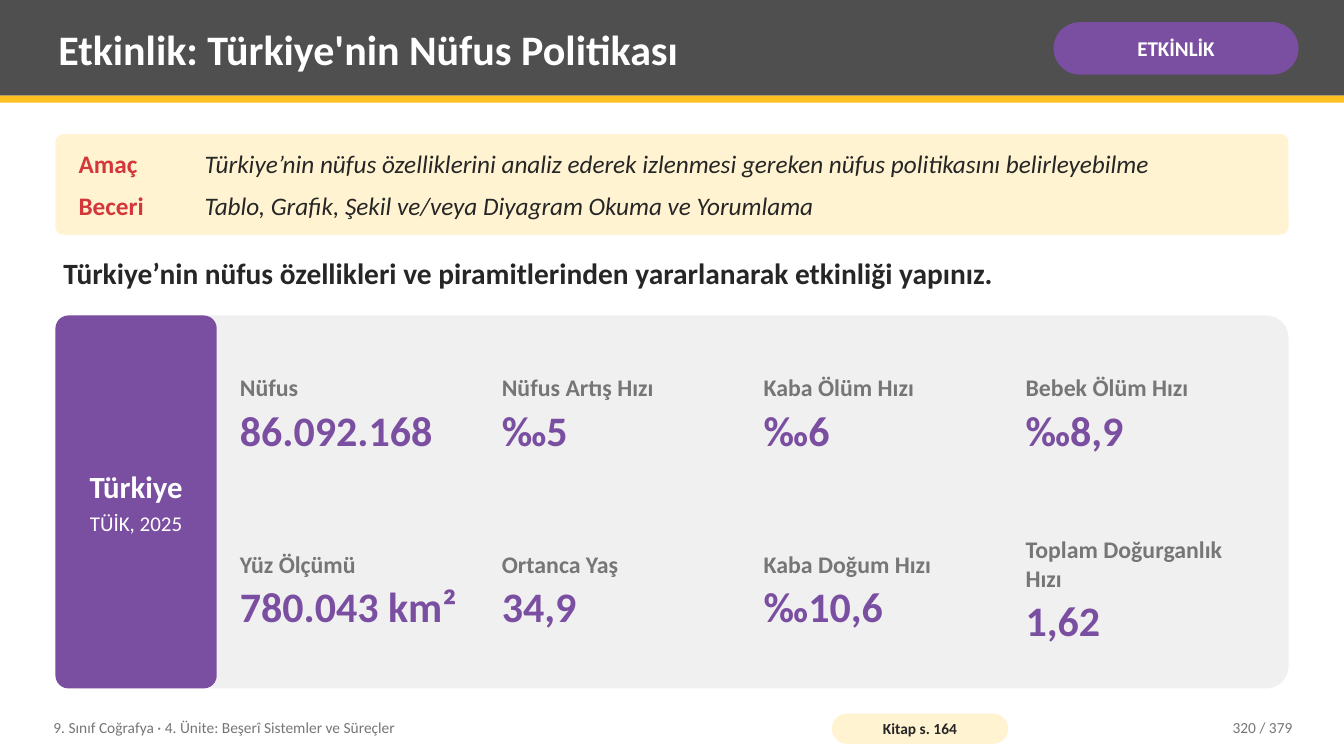
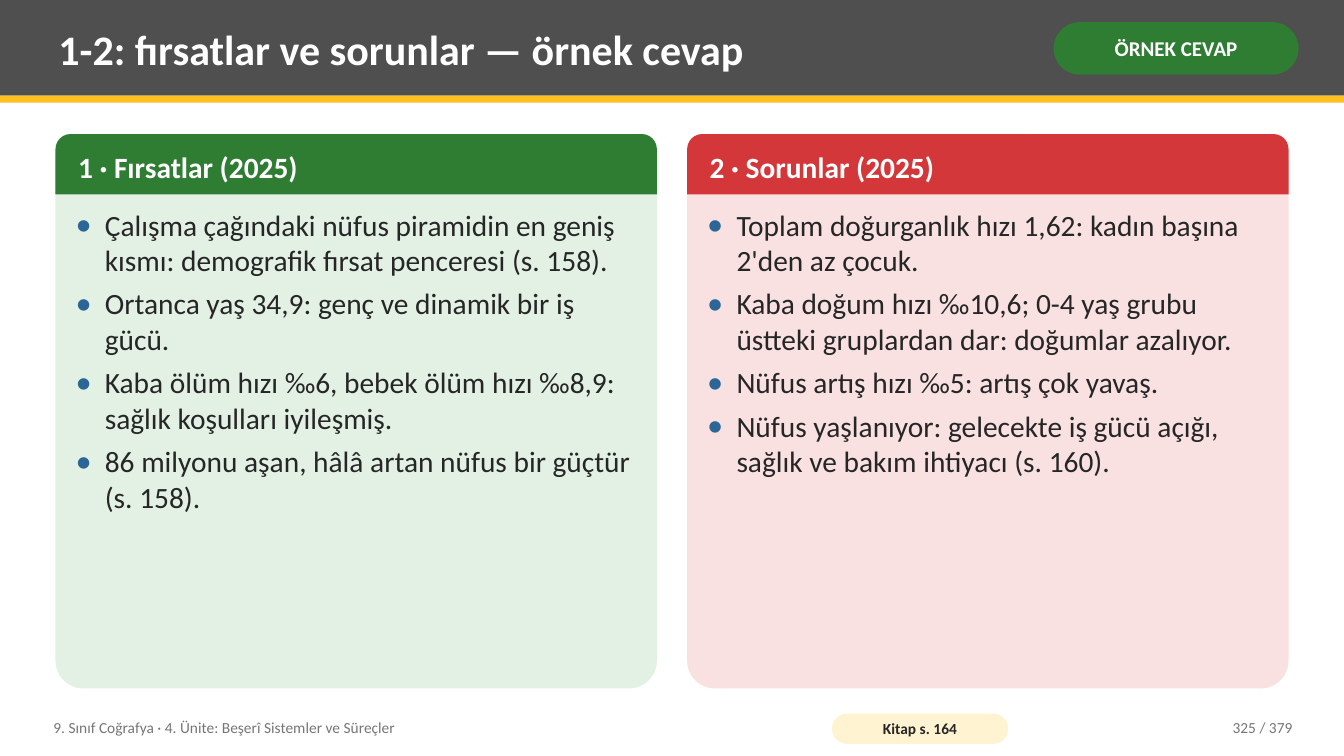
from dataclasses import dataclass

from lxml import etree
from pptx import Presentation
from pptx import util as u
from pptx.dml import color
from pptx.enum import shapes, text
from pptx.oxml import ns


@dataclass(frozen=True)
class Theme:
    font: str = "Calibri"
    white: str = "FFFFFF"
    ink: str = "262626"
    muted: str = "767676"
    band: str = "4F4F4F"
    gold: str = "FCC021"
    cream: str = "FFF3D1"
    card: str = "F0F0F0"
    purple: str = "7A4EA0"
    green: str = "2E7D32"
    pale_green: str = "E3F1E4"
    red: str = "D3373A"
    pale_red: str = "F9E1E1"
    bullet: str = "2C6696"
    title: int = 30
    name: int = 22
    body: int = 21
    goal: int = 18
    label: int = 17
    badge: int = 15
    footer: int = 11


@dataclass(frozen=True)
class Box:
    left: float
    top: float
    width: float
    height: float

    def inset(self, x, y):
        return Box(self.left + x, self.top + y, self.width - 2 * x, self.height - 2 * y)

    def area(self, left, top, width=None, height=None):
        """A box inside this one; without a size it runs to the far edge."""
        return Box(self.left + left, self.top + top,
                   self.width - left if width is None else width,
                   self.height - top if height is None else height)

    def grid(self, columns, rows, gap=0):
        """Equal cells, row by row, with a gap between the columns."""
        width = (self.width - gap * (columns - 1)) / columns
        height = self.height / rows
        return [self.area(column * (width + gap), row * height, width, height)
                for row in range(rows) for column in range(columns)]

    def inches(self):
        return [u.Inches(v) for v in (self.left, self.top, self.width, self.height)]


THEME = Theme()
PAGE = Box(0, 0, 13.33, 7.5)
CONTENT = Box(0.55, 1.33, 12.23, 5.5)
PADDING = (0.08, 0.04)
RECTANGLE = shapes.MSO_SHAPE.RECTANGLE
ROUNDED = shapes.MSO_SHAPE.ROUNDED_RECTANGLE
ROUND_TOP = shapes.MSO_SHAPE.ROUND_2_SAME_RECTANGLE
LEFT, CENTER, RIGHT = text.PP_ALIGN.LEFT, text.PP_ALIGN.CENTER, text.PP_ALIGN.RIGHT
MIDDLE, TOP = text.MSO_ANCHOR.MIDDLE, text.MSO_ANCHOR.TOP


# Basic parts

def add_block(slide, box, fill, kind=RECTANGLE, corners=()):
    shape = slide.shapes.add_shape(kind, *box.inches())
    shape.shadow.inherit = False
    shape.fill.solid()
    shape.fill.fore_color.rgb = color.RGBColor.from_string(fill)
    shape.line.fill.background()
    for index, corner in enumerate(corners):
        shape.adjustments[index] = corner
    return shape


def set_frame(shape, anchor=MIDDLE, x=PADDING[0], y=PADDING[1], left=None):
    frame = shape.text_frame
    frame.word_wrap = True
    frame.auto_size = text.MSO_AUTO_SIZE.NONE
    frame.vertical_anchor = anchor
    frame.margin_left = u.Inches(x if left is None else left)
    frame.margin_right = u.Inches(x)
    frame.margin_top = frame.margin_bottom = u.Inches(y)
    return frame


def write(paragraph, words, size, ink, bold=False, italic=False, align=LEFT, after=0):
    paragraph.alignment = align
    paragraph.space_before = u.Pt(0)
    paragraph.space_after = u.Pt(after)
    run = paragraph.add_run()
    run.text = words
    font = run.font
    font.name, font.size, font.bold, font.italic = THEME.font, u.Pt(size), bold, italic
    font.color.rgb = color.RGBColor.from_string(ink)


def add_label(slide, box, words, size, ink, **style):
    frame = set_frame(slide.shapes.add_textbox(*box.inches()))
    write(frame.paragraphs[0], words, size, ink, **style)


def add_pill(slide, box, words, size, fill, ink):
    pill = add_block(slide, box, fill, ROUNDED, [0.5])
    write(set_frame(pill, x=0.04, y=0).paragraphs[0], words, size, ink,
          bold=True, align=CENTER)


def set_bullet(paragraph, indent):
    properties = paragraph._p.get_or_add_pPr()
    properties.set("marL", str(u.Inches(indent)))
    properties.set("indent", str(-u.Inches(indent)))
    bullet_color = etree.SubElement(properties, ns.qn("a:buClr"))
    etree.SubElement(bullet_color, ns.qn("a:srgbClr"), val=THEME.bullet)
    etree.SubElement(properties, ns.qn("a:buSzPct"), val="110000")
    etree.SubElement(properties, ns.qn("a:buFont"), typeface=THEME.font)
    etree.SubElement(properties, ns.qn("a:buChar"), char="•")


# Regions shared by the slides

def add_header(slide, box, title, badge, badge_fill):
    add_block(slide, box, THEME.band)
    add_block(slide, Box(box.left, box.top + box.height, box.width, 0.07), THEME.gold)
    heading = slide.shapes.title
    slide.shapes._spTree.append(heading._element)  # bring in front of the band
    heading.left, heading.top, heading.width, heading.height = (
        box.area(0.5, 0.07, 9.75, 0.82).inches())
    write(set_frame(heading).paragraphs[0], title, THEME.title, THEME.white, bold=True)
    add_pill(slide, box.area(10.45, 0.22, 2.43, 0.52), badge, THEME.badge,
             badge_fill, THEME.white)


def add_footer(slide, box, page_number):
    add_label(slide, box.area(0, 0, 7.6),
              "9. Sınıf Coğrafya · 4. Ünite: Beşerî Sistemler ve Süreçler",
              THEME.footer, THEME.muted)
    add_pill(slide, box.area(7.8, 0.04, 1.75, 0.3), "Kitap s. 164", THEME.footer,
             THEME.cream, THEME.ink)
    add_label(slide, box.area(10.85, 0), f"{page_number} / 379",
              THEME.footer, THEME.muted, align=RIGHT)


def add_lesson_slide(presentation, title, badge, badge_fill, page_number):
    slide = presentation.slides.add_slide(presentation.slide_layouts.get_by_name("Title Only"))
    add_header(slide, PAGE.area(0, 0, height=0.95), title, badge, badge_fill)
    add_footer(slide, PAGE.area(0.45, 7.04, 12.45, 0.36), page_number)
    return slide


# Regions of the activity slide

def add_goals(slide, box, goals):
    add_block(slide, box, THEME.cream, ROUNDED, [0.08])
    rows = box.inset(0.15, 0.08).grid(1, len(goals))
    for row, (name, description) in zip(rows, goals):
        add_label(slide, row.area(0, 0, 1.25), name, THEME.goal, THEME.red, bold=True)
        add_label(slide, row.area(1.25, 0), description, THEME.goal, THEME.ink, italic=True)


def add_statistics(slide, box, country, source, statistics):
    add_block(slide, box, THEME.card, ROUNDED, [0.06])
    # Country tab
    tab = add_block(slide, box.area(0, 0, 1.6), THEME.purple, ROUNDED, [0.08])
    frame = set_frame(tab, x=0.14, y=0.08)
    write(frame.paragraphs[0], country, THEME.name, THEME.white, bold=True,
          align=CENTER, after=4)
    write(frame.add_paragraph(), source, THEME.badge, THEME.white, align=CENTER)
    # Figures, four to a row
    cells = box.area(1.75, 0.1, 10.31, box.height - 0.2).grid(4, 2, gap=0.08)
    for cell, (name, value) in zip(cells, statistics):
        frame = set_frame(slide.shapes.add_textbox(*cell.inches()))
        write(frame.paragraphs[0], name, THEME.label, THEME.muted, bold=True, after=2)
        write(frame.add_paragraph(), value, THEME.title, THEME.purple, bold=True)


def build_activity(presentation):
    slide = add_lesson_slide(presentation, "Etkinlik: Türkiye'nin Nüfus Politikası",
                             "ETKİNLİK", THEME.purple, 320)
    add_goals(slide, CONTENT.area(0, 0, height=1), [
        ("Amaç", "Türkiye’nin nüfus özelliklerini analiz ederek izlenmesi gereken "
                 "nüfus politikasını belirleyebilme"),
        ("Beceri", "Tablo, Grafik, Şekil ve/veya Diyagram Okuma ve Yorumlama"),
    ])
    add_label(slide, CONTENT.area(0, 1.1, height=0.55),
              "Türkiye’nin nüfus özellikleri ve piramitlerinden yararlanarak "
              "etkinliği yapınız.", THEME.body, THEME.ink, bold=True)
    add_statistics(slide, CONTENT.area(0, 1.8), "Türkiye", "TÜİK, 2025", [
        ("Nüfus", "86.092.168"),
        ("Nüfus Artış Hızı", "‰5"),
        ("Kaba Ölüm Hızı", "‰6"),
        ("Bebek Ölüm Hızı", "‰8,9"),
        ("Yüz Ölçümü", "780.043 km²"),
        ("Ortanca Yaş", "34,9"),
        ("Kaba Doğum Hızı", "‰10,6"),
        ("Toplam Doğurganlık Hızı", "1,62"),
    ])


# Regions of the answer slide

def add_answer_panel(slide, box, heading, strong, pale, points):
    add_block(slide, box, pale, ROUNDED, [0.05])
    head = add_block(slide, box.area(0, 0, height=0.6), strong, ROUND_TOP, [0.25, 0])
    write(set_frame(head, left=0.18).paragraphs[0], heading, THEME.body, THEME.white,
          bold=True)
    body = box.area(0, 0.6).inset(0.12, 0.08)
    frame = set_frame(slide.shapes.add_textbox(*body.inches()), TOP)
    for index, point in enumerate(points):
        paragraph = frame.add_paragraph() if index else frame.paragraphs[0]
        set_bullet(paragraph, 0.29)
        write(paragraph, point, THEME.body, THEME.ink,
              after=6 if index < len(points) - 1 else 0)


def build_answers(presentation):
    slide = add_lesson_slide(presentation, "1-2: fırsatlar ve sorunlar — örnek cevap",
                             "ÖRNEK CEVAP", THEME.green, 325)
    panels = [
        ("1 · Fırsatlar (2025)", THEME.green, THEME.pale_green, [
            "Çalışma çağındaki nüfus piramidin en geniş kısmı: demografik fırsat "
            "penceresi (s. 158).",
            "Ortanca yaş 34,9: genç ve dinamik bir iş gücü.",
            "Kaba ölüm hızı ‰6, bebek ölüm hızı ‰8,9: sağlık koşulları iyileşmiş.",
            "86 milyonu aşan, hâlâ artan nüfus bir güçtür (s. 158).",
        ]),
        ("2 · Sorunlar (2025)", THEME.red, THEME.pale_red, [
            "Toplam doğurganlık hızı 1,62: kadın başına 2'den az çocuk.",
            "Kaba doğum hızı ‰10,6; 0-4 yaş grubu üstteki gruplardan dar: "
            "doğumlar azalıyor.",
            "Nüfus artış hızı ‰5: artış çok yavaş.",
            "Nüfus yaşlanıyor: gelecekte iş gücü açığı, sağlık ve bakım ihtiyacı "
            "(s. 160).",
        ]),
    ]
    for box, panel in zip(CONTENT.grid(len(panels), 1, gap=0.3), panels):
        add_answer_panel(slide, box, *panel)


def main():
    presentation = Presentation()
    presentation.slide_width = u.Inches(PAGE.width)
    presentation.slide_height = u.Inches(PAGE.height)
    build_activity(presentation)
    build_answers(presentation)
    presentation.save("out.pptx")


if __name__ == "__main__":
    main()
